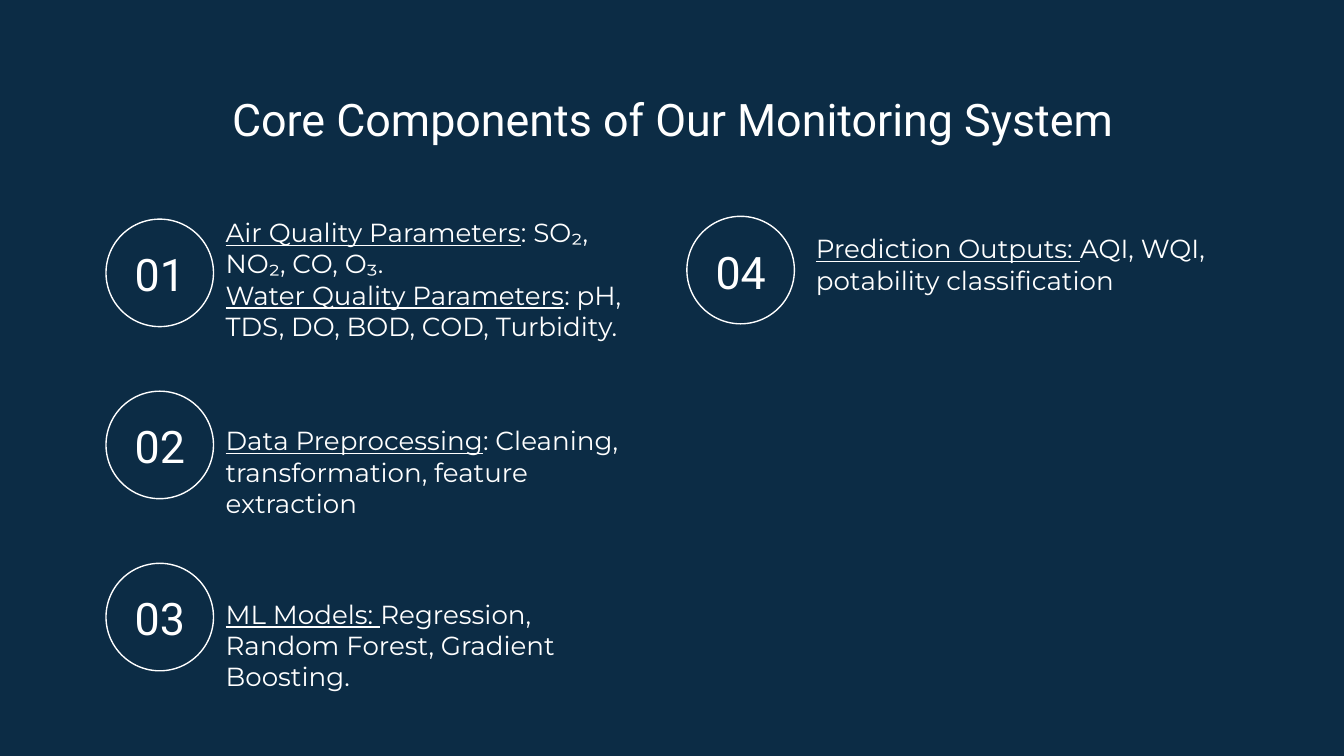
from dataclasses import dataclass

from pptx import Presentation
from pptx.dml.color import RGBColor
from pptx.enum.shapes import MSO_SHAPE
from pptx.enum.text import MSO_ANCHOR, PP_ALIGN
from pptx.util import Pt


@dataclass(frozen=True)
class Theme:
    background: RGBColor = RGBColor(0x0C, 0x2C, 0x45)
    ink: RGBColor = RGBColor(0xFF, 0xFF, 0xFF)
    heading_font: str = "Roboto"
    body_font: str = "Montserrat"
    heading_size: float = 24
    body_size: float = 14
    outline: float = 0.75
    inset: float = 7.2


class SlideBuilder:
    def __init__(self, slide, theme):
        self.slide = slide
        self.theme = theme
        fill = slide.background.fill
        fill.solid()
        fill.fore_color.rgb = theme.background

    def frame(self, left, top, width, height, anchor=MSO_ANCHOR.TOP):
        """Add a wrapping text box and return its text frame."""
        box = self.slide.shapes.add_textbox(Pt(left), Pt(top), Pt(width), Pt(height))
        frame = box.text_frame
        frame.word_wrap = True
        frame.vertical_anchor = anchor
        inset = Pt(self.theme.inset)
        frame.margin_left = frame.margin_right = inset
        frame.margin_top = frame.margin_bottom = inset
        return frame

    def style(self, font, name, size):
        font.name = name
        font.size = Pt(size)
        font.color.rgb = self.theme.ink

    def heading(self, text, left, top, width, height, anchor=MSO_ANCHOR.TOP):
        frame = self.frame(left, top, width, height, anchor)
        frame.text = text
        paragraph = frame.paragraphs[0]
        paragraph.alignment = PP_ALIGN.CENTER
        self.style(paragraph.runs[0].font, self.theme.heading_font, self.theme.heading_size)

    def ring(self, left, top, size):
        ring = self.slide.shapes.add_shape(
            MSO_SHAPE.OVAL, Pt(left), Pt(top), Pt(size), Pt(size))
        ring.shadow.inherit = False
        ring.fill.background()
        ring.line.color.rgb = self.theme.ink
        ring.line.width = Pt(self.theme.outline)

    def badge(self, number, left, top, size=57.6):
        """Add a ring with a number in its middle."""
        self.ring(left, top, size)
        width, height = 49, 39.6
        self.heading(number, left + (size - width) / 2, top + (size - height) / 2 + 0.5,
                     width, height, MSO_ANCHOR.MIDDLE)

    def details(self, entries, left, top):
        """Add one paragraph per (underlined term, explanation) pair."""
        frame = self.frame(left, top, 242.6, 38.2)
        for index, (term, explanation) in enumerate(entries):
            paragraph = frame.paragraphs[0] if index == 0 else frame.add_paragraph()
            for text, underlined in ((term, True), (explanation, False)):
                run = paragraph.add_run()
                run.text = text
                self.style(run.font, self.theme.body_font, self.theme.body_size)
                run.font.underline = underlined


LEFT_BADGE, LEFT_DETAILS = 56.8, 113.8
RIGHT_BADGE, RIGHT_DETAILS = 368, 430
FIRST_ROW, ROW_PITCH = 117.4, 92.2

# Each component: badge left and top, details left and top, entries
COMPONENTS = [
    (LEFT_BADGE, FIRST_ROW, LEFT_DETAILS, 108.7, [
        ("Air Quality Parameters", ": SO₂, NO₂, CO, O₃."),
        ("Water Quality Parameters", ": pH, TDS, DO, BOD, COD, Turbidity.")]),
    (LEFT_BADGE, FIRST_ROW + ROW_PITCH, LEFT_DETAILS, 220.3, [
        ("Data Preprocessing", ": Cleaning, transformation, feature extraction")]),
    (LEFT_BADGE, FIRST_ROW + 2 * ROW_PITCH, LEFT_DETAILS, 313.2, [
        ("ML Models: ", "Regression, Random Forest, Gradient Boosting.")]),
    (RIGHT_BADGE, 115.9, RIGHT_DETAILS, 117.4, [
        ("Prediction Outputs: ", "AQI, WQI, potability classification")]),
]


def main():
    presentation = Presentation()
    presentation.slide_width = Pt(720)
    presentation.slide_height = Pt(405)
    slide = presentation.slides.add_slide(presentation.slide_layouts[6])
    builder = SlideBuilder(slide, Theme())

    builder.heading("Core Components of Our Monitoring System", 56.8, 41.8, 607, 46)
    for number, component in enumerate(COMPONENTS, start=1):
        badge_left, badge_top, details_left, details_top, entries = component
        builder.badge(f"{number:02}", badge_left, badge_top)
        builder.details(entries, details_left, details_top)

    presentation.save("out.pptx")


if __name__ == "__main__":
    main()
